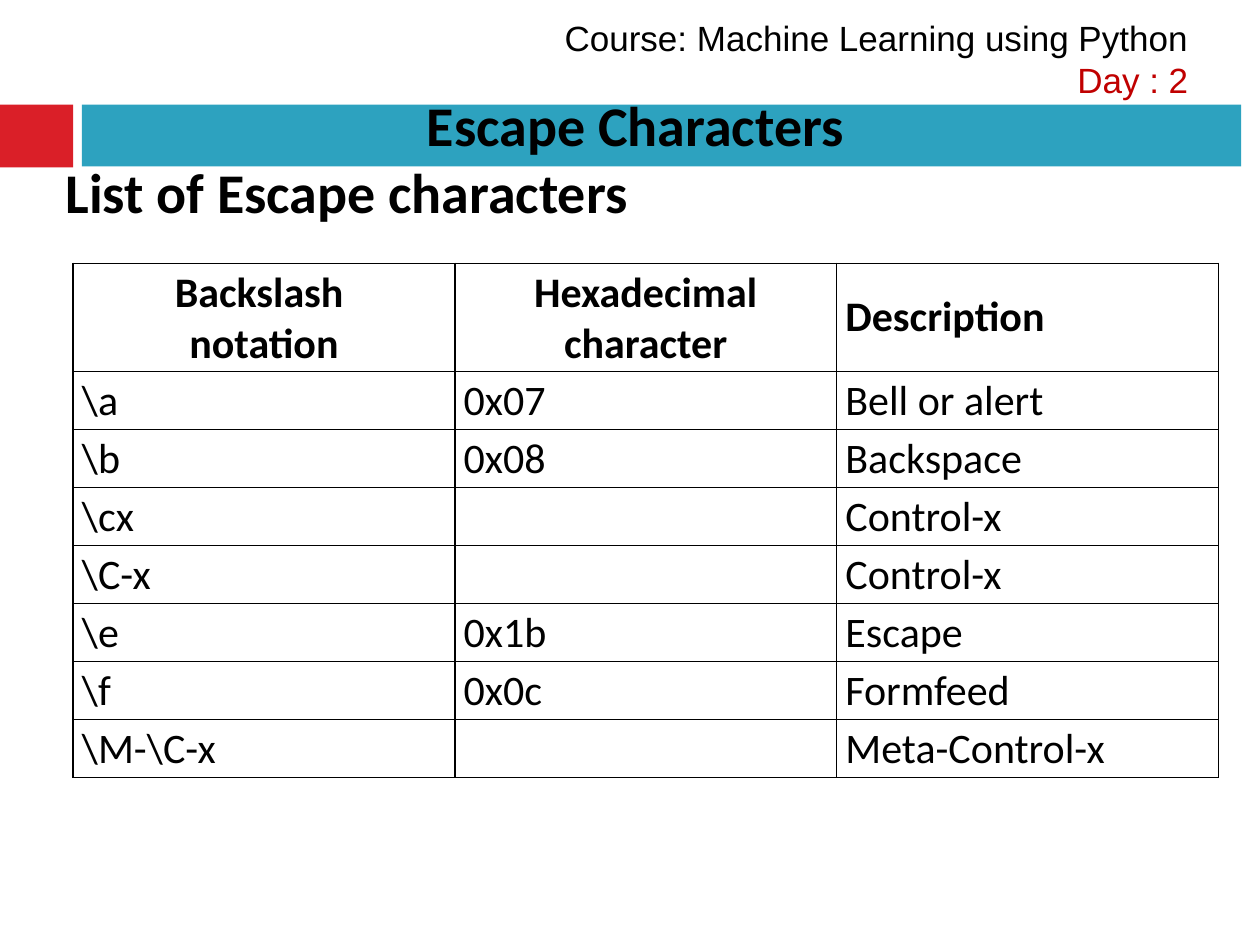
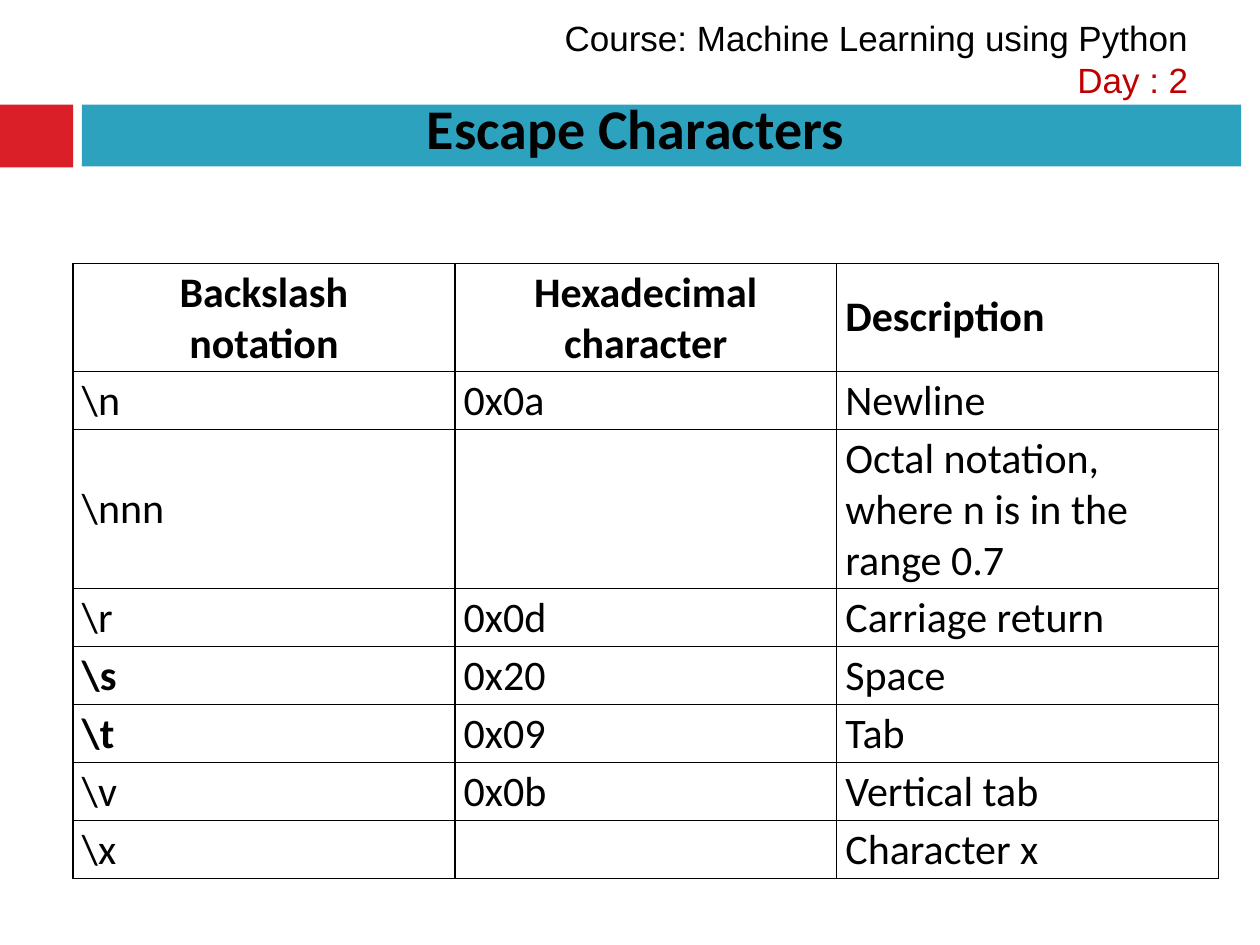
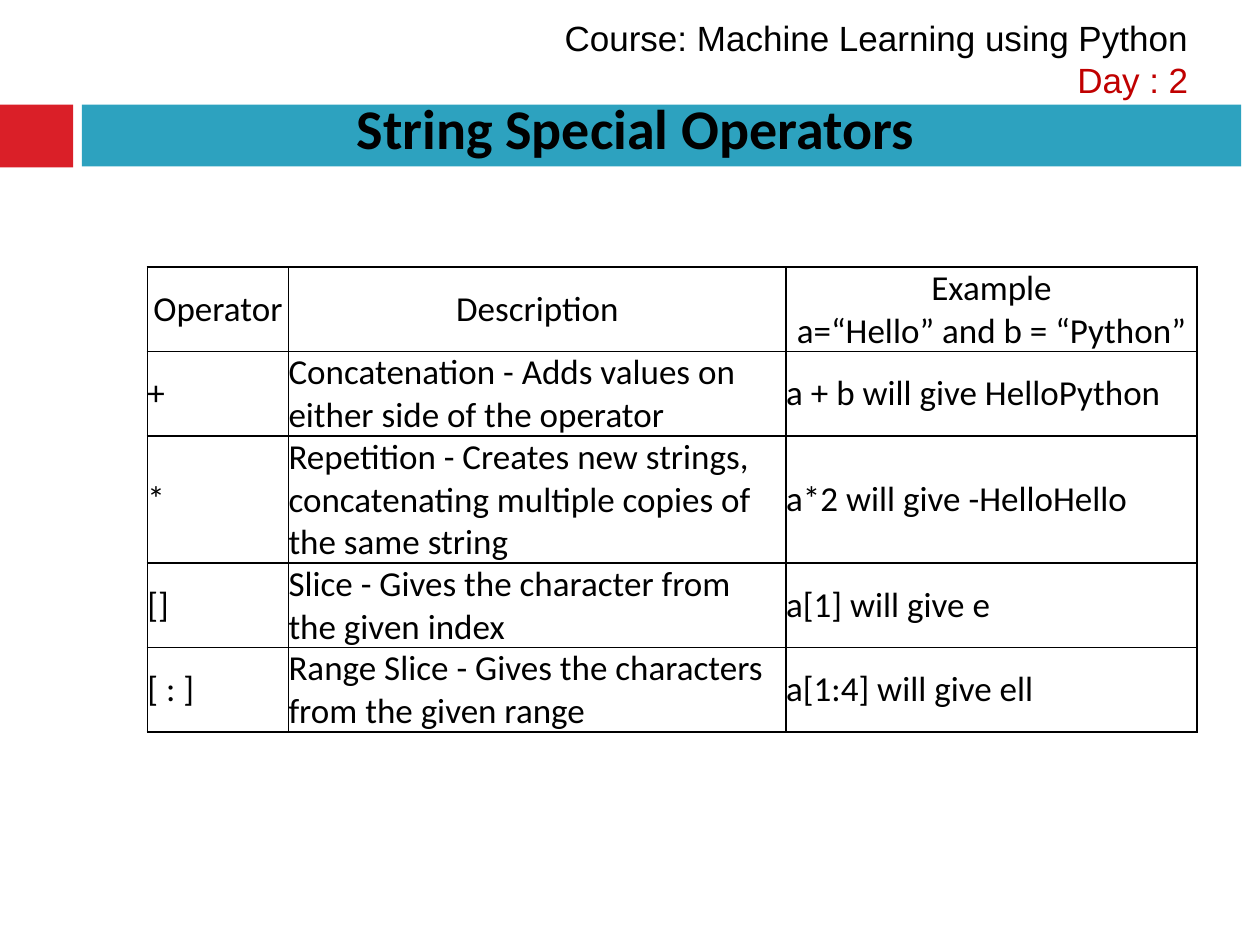
from dataclasses import dataclass

from lxml import etree
from pptx import Presentation
from pptx.dml.color import RGBColor
from pptx.enum.shapes import MSO_SHAPE
from pptx.enum.text import MSO_ANCHOR, MSO_AUTO_SIZE, PP_ALIGN
from pptx.oxml import parse_xml
from pptx.oxml.ns import nsdecls
from pptx.util import Inches, Pt


@dataclass(frozen=True)
class Theme:
    ink: str = "000000"
    day: str = "C00000"
    accent: str = "DA1F28"
    band: str = "2DA2BF"
    body_font: str = "Calibri"
    course_font: str = "Arial"
    title_size: int = 32
    course_size: int = 20
    escape_size: int = 24
    operator_size: int = 20


THEME = Theme()


def write_lines(frame, text, size, font=THEME.body_font, bold=False,
                align=PP_ALIGN.LEFT):
    """Fill a text frame with one formatted paragraph per line of text."""
    frame.text = text
    for paragraph in frame.paragraphs:
        paragraph.alignment = align
        for run in paragraph.runs:
            formats = {"name": font, "size": Pt(size), "bold": bold}
            for name, value in formats.items():
                setattr(run.font, name, value)
            run.font.color.rgb = RGBColor.from_string(THEME.ink)


def add_grid(slide, left, top, widths, heights, rows, size, insets,
             centred, bold):
    """Add a ruled table; centred holds header columns, bold holds cell texts."""
    table = slide.shapes.add_table(
        len(rows), len(widths), Inches(left), Inches(top),
        Inches(sum(widths)), Inches(sum(heights))).table
    table.first_row = table.horz_banding = False
    for column, width in zip(table.columns, widths):
        column.width = Inches(width)
    for row, height in zip(table.rows, heights):
        row.height = Inches(height)

    side, edge = (Inches(inset) for inset in insets)
    cell_format = {"margin_left": side, "margin_right": side,
                   "margin_top": edge, "margin_bottom": edge,
                   "vertical_anchor": MSO_ANCHOR.MIDDLE}
    for row_index, texts in enumerate(rows):
        for column_index, text in enumerate(texts):
            cell = table.cell(row_index, column_index)
            for name, value in cell_format.items():
                setattr(cell, name, value)
            properties = cell._tc.get_or_add_tcPr()
            for border in ("lnL", "lnR", "lnT", "lnB"):
                properties.append(parse_xml(
                    f'<a:{border} {nsdecls("a")} w="{Pt(1)}"><a:solidFill>'
                    f'<a:srgbClr val="{THEME.ink}"/></a:solidFill></a:{border}>'))
            cell.fill.background()
            if text:
                in_header = row_index == 0 and column_index in centred
                write_lines(cell.text_frame, text, size, bold=text in bold,
                            align=PP_ALIGN.CENTER if in_header else PP_ALIGN.LEFT)


presentation = Presentation()
presentation.slide_width = Inches(10)
presentation.slide_height = Inches(7.5)
layout = presentation.slide_layouts[5]

# Titles
titles = [
    ("Escape Characters\nList of Escape characters", 0.67, 1.18),
    ("Escape Characters", 0.69, 0.64),
    ("String Special Operators", 0.69, 0.64),
]
slides = []
for text, top, height in titles:
    slide = presentation.slides.add_slide(layout)
    title = slide.shapes.title
    place = {"left": 0.42, "top": top, "width": 9.25, "height": height}
    for name, value in place.items():
        setattr(title, name, Inches(value))
    frame = title.text_frame
    write_lines(frame, text, THEME.title_size, bold=True)
    frame.paragraphs[0].alignment = PP_ALIGN.CENTER
    frame_format = {"word_wrap": True, "vertical_anchor": MSO_ANCHOR.TOP,
                    "auto_size": MSO_AUTO_SIZE.SHAPE_TO_FIT_TEXT}
    for name, value in frame_format.items():
        setattr(frame, name, value)
    slides.append(slide)

# Bands and course heading, drawn once and moved to the shared layout
shapes = slides[0].shapes
shared = []
for left, width, height, colour in [(0, 0.58, 0.5, THEME.accent),
                                    (0.65, 9.2, 0.49, THEME.band)]:
    band = shapes.add_shape(MSO_SHAPE.RECTANGLE, Inches(left), Inches(0.83),
                            Inches(width), Inches(height))
    band.shadow.inherit = False
    band.fill.solid()
    band.fill.fore_color.rgb = RGBColor.from_string(colour)
    band.line.fill.background()
    shared.append(band)

course = shapes.add_textbox(Inches(4.17), Inches(0.08), Inches(5.36), Inches(0.77))
course.text_frame.word_wrap = True
write_lines(course.text_frame, "Course: Machine Learning using Python\nDay : 2",
            THEME.course_size, font=THEME.course_font, align=PP_ALIGN.RIGHT)
day_run = course.text_frame.paragraphs[1].runs[0]
day_run.font.color.rgb = RGBColor.from_string(THEME.day)
shared.append(course)
for shape in shared:
    layout.shapes._spTree.append(shape._element)

# Escape character tables
escape_rows = [
    [
        ("Backslash \nnotation", "Hexadecimal character", "Description"),
        (r"\a", "0x07", "Bell or alert"),
        (r"\b", "0x08", "Backspace"),
        (r"\cx", "", "Control-x"),
        (r"\C-x", "", "Control-x"),
        (r"\e", "0x1b", "Escape"),
        (r"\f", "0x0c", "Formfeed"),
        (r"\M-\C-x", "", "Meta-Control-x"),
    ],
    [
        ("Backslash\nnotation", "Hexadecimal character", "Description"),
        (r"\n", "0x0a", "Newline"),
        (r"\nnn", "", "Octal notation, where n is in the range 0.7"),
        (r"\r", "0x0d", "Carriage return"),
        (r"\s", "0x20", "Space"),
        (r"\t", "0x09", "Tab"),
        (r"\v", "0x0b", "Vertical tab"),
        (r"\x", "", "Character x"),
    ],
]
octal_heights = [0.86, 0.46, 1.26] + [0.46] * 5
for slide, rows, heights in zip(slides, escape_rows,
                                ([0.86] + [0.46] * 7, octal_heights)):
    add_grid(slide, 0.58, 2.09, [3.03] * 3, heights, rows, THEME.escape_size,
             insets=(0.07, 0.03), centred=(0, 1), bold={*rows[0], r"\s", r"\t"})

# Operator table
operator_rows = [
    ("Operator", "Description", "Example\na=“Hello” and b = “Python”"),
    ("+", "Concatenation - Adds values on either side of the operator",
     "a + b will give HelloPython"),
    ("*", "Repetition - Creates new strings, concatenating multiple copies of "
     "the same string", "a*2 will give -HelloHello"),
    ("[]", "Slice - Gives the character from the given index", "a[1] will give e"),
    ("[ : ]", "Range Slice - Gives the characters from the given range",
     "a[1:4] will give ell"),
]
add_grid(slides[2], 1.17, 2.12, [1.12, 3.95, 3.26], [0.67, 0.67, 1.01, 0.67, 0.67],
         operator_rows, THEME.operator_size, insets=(0, 0), centred=(0, 1, 2),
         bold=())

presentation.save("out.pptx")
